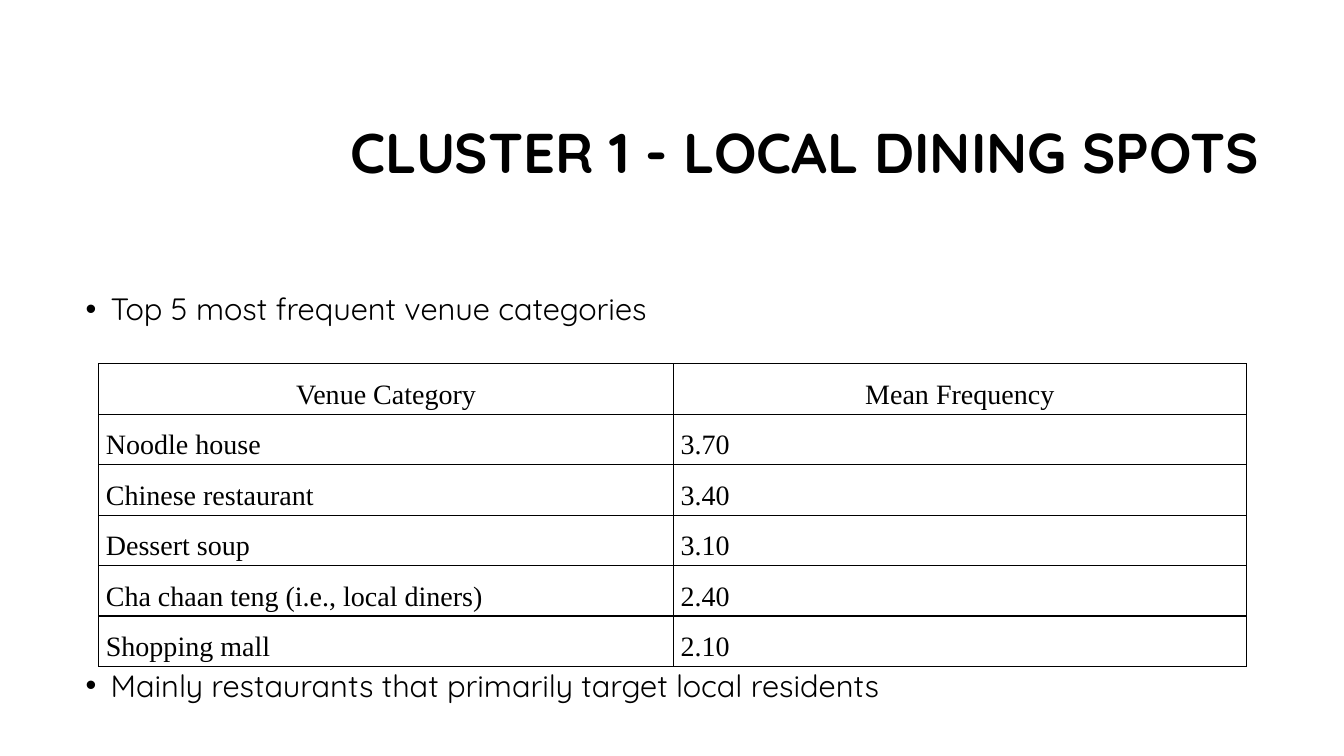
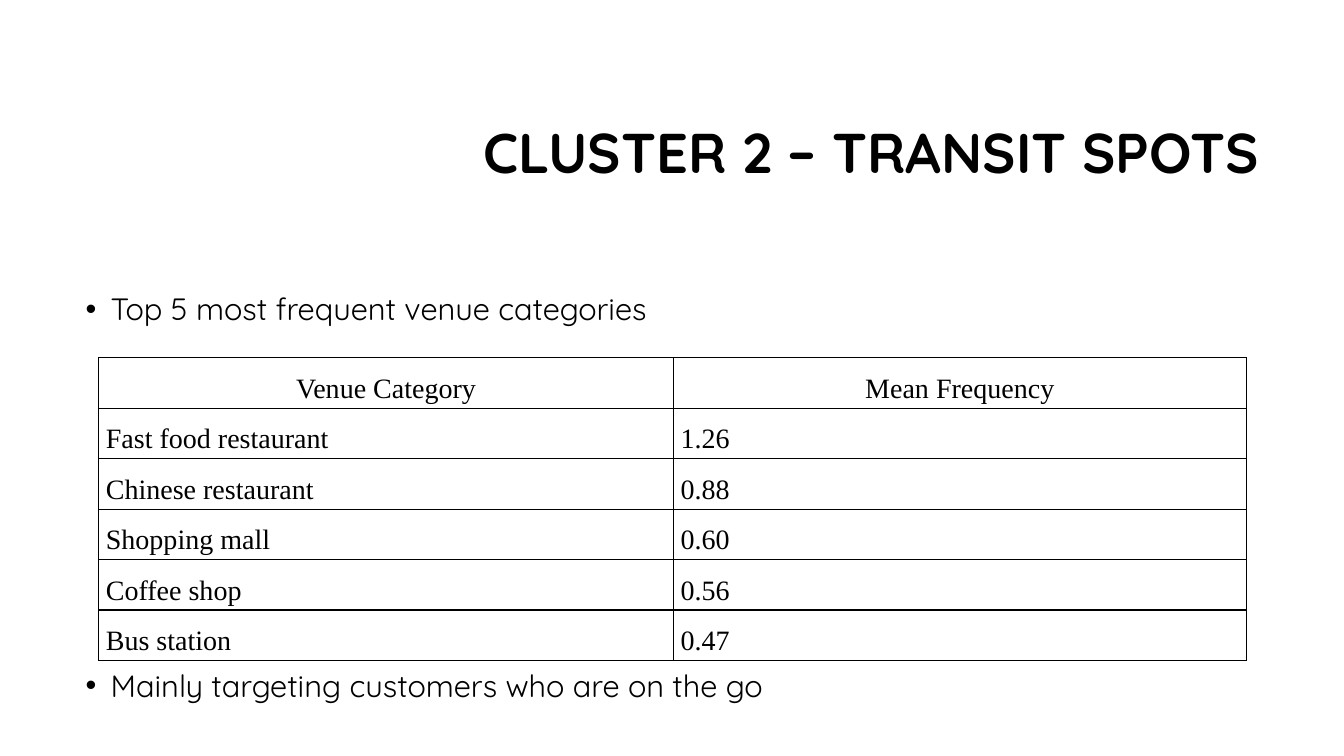
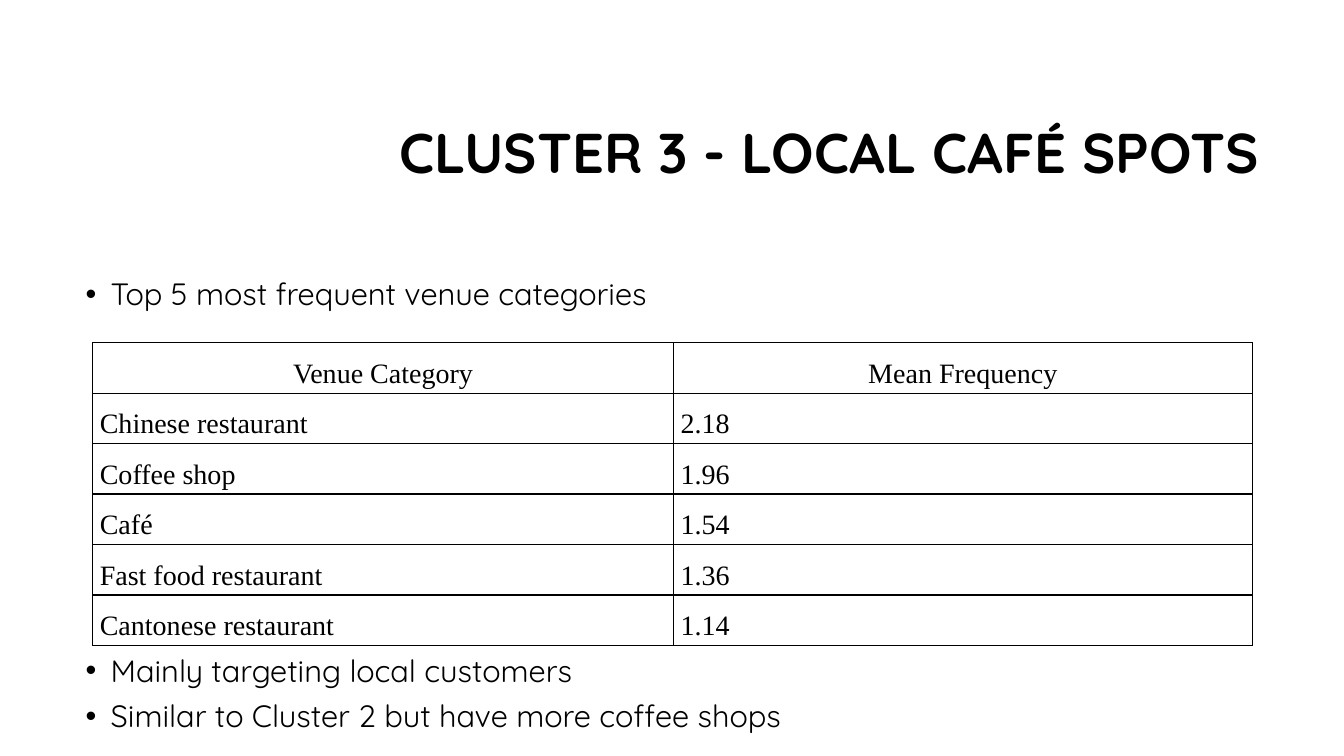
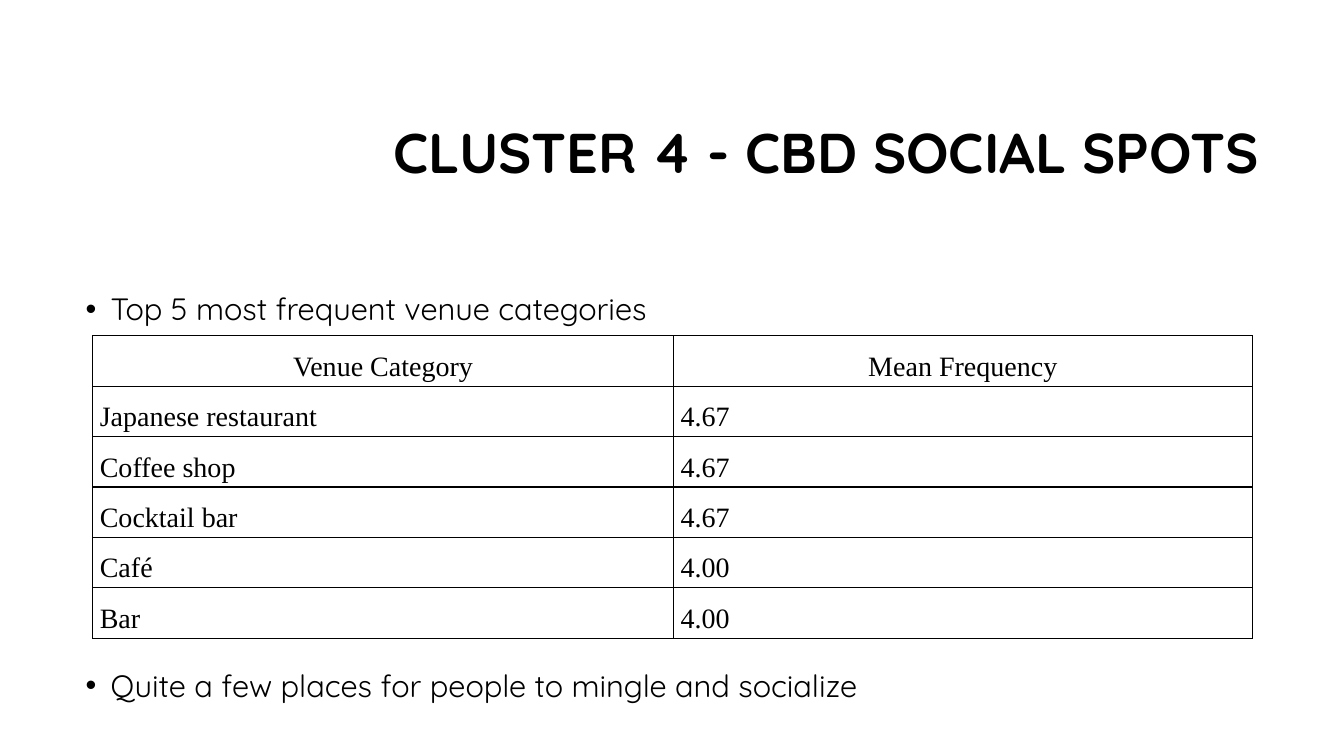
from lxml import etree
from pptx import Presentation
from pptx.dml.color import RGBColor
from pptx.enum.text import MSO_ANCHOR, PP_ALIGN
from pptx.oxml.ns import qn
from pptx.util import Inches, Pt

LEFT, CENTER, RIGHT = PP_ALIGN.LEFT, PP_ALIGN.CENTER, PP_ALIGN.RIGHT
MIDDLE = MSO_ANCHOR.MIDDLE

BLACK = "000000"
TITLE_FONT = {"name": "Quicksand", "size": Pt(40), "bold": True}
BODY_FONT = {"name": "Quicksand", "size": Pt(22), "bold": False}
TABLE_FONT = {"name": "Times New Roman", "size": Pt(20), "bold": False}
TITLE_PARAGRAPH = {"alignment": RIGHT, "line_spacing": 0.9}
BODY_PARAGRAPH = {"alignment": LEFT, "line_spacing": 0.9}
CELL_PARAGRAPH = {"line_spacing": 1.5, "space_before": Pt(0), "space_after": Pt(6)}
CELL_MARGINS = {
    "margin_left": Inches(0.07), "margin_right": Inches(0.07),
    "margin_top": 0, "margin_bottom": 0,
}
TABLE_HEADER = ("Venue Category", "Mean Frequency")
LEAD_BULLET = "Top 5 most frequent venue categories"
TABLE_GAP = Pt(245)
BULLET_GAP = Pt(9)

NARROW_TABLE = {"left": 0.98, "columns": (5.7, 5.68), "row": 0.46}
WIDE_TABLE = {"left": 0.92, "columns": (5.76, 5.74), "row": 0.48}

CLUSTERS = [
    {
        "title": "CLUSTER 1 - LOCAL DINING SPOTS",
        "body_top": 2.4, "table_top": 3.61, "table": NARROW_TABLE,
        "venues": [
            ("Noodle house", "3.70"),
            ("Chinese restaurant", "3.40"),
            ("Dessert soup", "3.10"),
            ("Cha chaan teng (i.e., local diners)", "2.40"),
            ("Shopping mall", "2.10"),
        ],
        "findings": ["Mainly restaurants that primarily target local residents"],
    },
    {
        "title": "CLUSTER 2 – TRANSIT SPOTS",
        "body_top": 2.4, "table_top": 3.55, "table": NARROW_TABLE,
        "venues": [
            ("Fast food restaurant", "1.26"),
            ("Chinese restaurant", "0.88"),
            ("Shopping mall", "0.60"),
            ("Coffee shop", "0.56"),
            ("Bus station", "0.47"),
        ],
        "findings": ["Mainly targeting customers who are on the go"],
    },
    {
        "title": "CLUSTER 3 - LOCAL CAFÉ SPOTS",
        "body_top": 2.25, "table_top": 3.4, "table": WIDE_TABLE,
        "venues": [
            ("Chinese restaurant", "2.18"),
            ("Coffee shop", "1.96"),
            ("Café", "1.54"),
            ("Fast food restaurant", "1.36"),
            ("Cantonese restaurant", "1.14"),
        ],
        "findings": [
            "Mainly targeting local customers",
            "Similar to Cluster 2 but have more coffee shops",
        ],
    },
    {
        "title": "CLUSTER 4 - CBD SOCIAL SPOTS",
        "body_top": 2.4, "table_top": 3.33, "table": WIDE_TABLE,
        "venues": [
            ("Japanese restaurant", "4.67"),
            ("Coffee shop", "4.67"),
            ("Cocktail bar", "4.67"),
            ("Café", "4.00"),
            ("Bar", "4.00"),
        ],
        "findings": ["Quite a few places for people to mingle and socialize"],
    },
]


def format_paragraph(paragraph, paragraph_format, font_format, color=BLACK):
    for name, value in paragraph_format.items():
        setattr(paragraph, name, value)
    for name, value in font_format.items():
        setattr(paragraph.font, name, value)
    paragraph.font.color.rgb = RGBColor.from_string(color)


def add_borders(cell, color=BLACK):
    """Draw a 1 pt line on all four sides of a table cell."""
    properties = cell._tc.get_or_add_tcPr()
    for position, side in enumerate(("a:lnL", "a:lnR", "a:lnT", "a:lnB")):
        line = etree.Element(qn(side), w=str(Pt(1)))
        fill = etree.SubElement(line, qn("a:solidFill"))
        etree.SubElement(fill, qn("a:srgbClr"), val=color)
        properties.insert(position, line)


presentation = Presentation()
presentation.slide_width = Inches(13.33)
presentation.slide_height = Inches(7.5)
title_only = presentation.slide_layouts[5]

for cluster in CLUSTERS:
    slide = presentation.slides.add_slide(title_only)

    title = slide.shapes.title
    title.left, title.top = Inches(3.17), Inches(0.84)
    title.width, title.height = Inches(9.42), Inches(1.41)
    title.text_frame.text = cluster["title"]
    title.text_frame.vertical_anchor = MIDDLE
    format_paragraph(title.text_frame.paragraphs[0], TITLE_PARAGRAPH, TITLE_FONT)

    body_top = cluster["body_top"]
    body = slide.shapes.add_textbox(
        Inches(0.75), Inches(body_top), Inches(11.83), Inches(7.4 - body_top))
    body.text_frame.word_wrap = True
    body.text_frame.margin_top = Inches(0.52)
    bullets = [LEAD_BULLET, *cluster["findings"]]
    body.text_frame.text = "\n".join(bullets)
    for index, paragraph in enumerate(body.text_frame.paragraphs):
        properties = paragraph._p.get_or_add_pPr()
        properties.set("marL", str(Inches(0.25)))
        properties.set("indent", str(Inches(-0.25)))
        etree.SubElement(properties, qn("a:buFont"), typeface="Arial")
        etree.SubElement(properties, qn("a:buChar"), char="•")
        format_paragraph(paragraph, BODY_PARAGRAPH, BODY_FONT)
        if index > 0:
            paragraph.space_before = TABLE_GAP if index == 1 else BULLET_GAP

    layout = cluster["table"]
    rows = [TABLE_HEADER, *cluster["venues"]]
    table = slide.shapes.add_table(
        len(rows), len(TABLE_HEADER),
        Inches(layout["left"]), Inches(cluster["table_top"]),
        Inches(sum(layout["columns"])), Inches(layout["row"] * len(rows))).table
    table.first_row = table.horz_banding = False
    for column, width in zip(table.columns, layout["columns"]):
        column.width = Inches(width)
    for row_index, row in enumerate(rows):
        table.rows[row_index].height = Inches(layout["row"])
        for column_index, text in enumerate(row):
            cell = table.cell(row_index, column_index)
            cell.text = text
            for name, value in CELL_MARGINS.items():
                setattr(cell, name, value)
            cell.fill.background()
            add_borders(cell)
            paragraph = cell.text_frame.paragraphs[0]
            format_paragraph(paragraph, CELL_PARAGRAPH, TABLE_FONT)
            paragraph.alignment = LEFT if row_index else CENTER

presentation.save("out.pptx")
